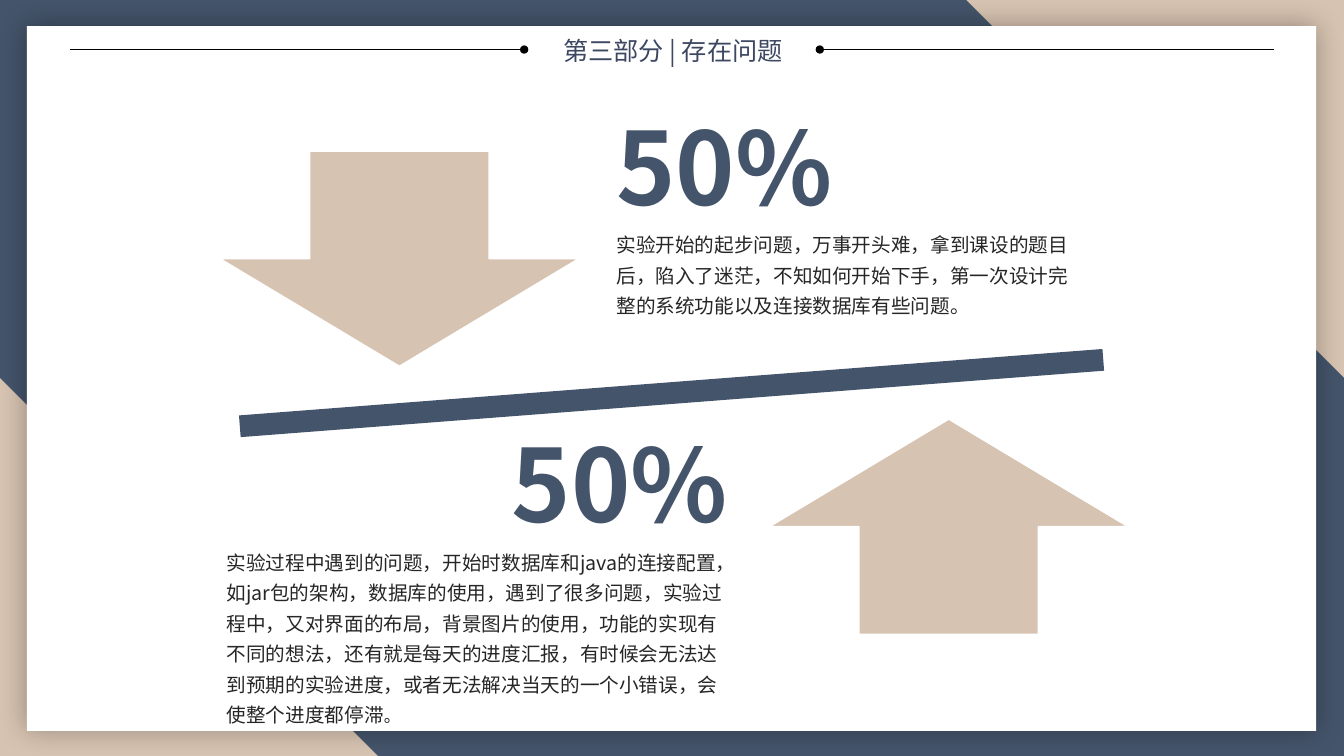
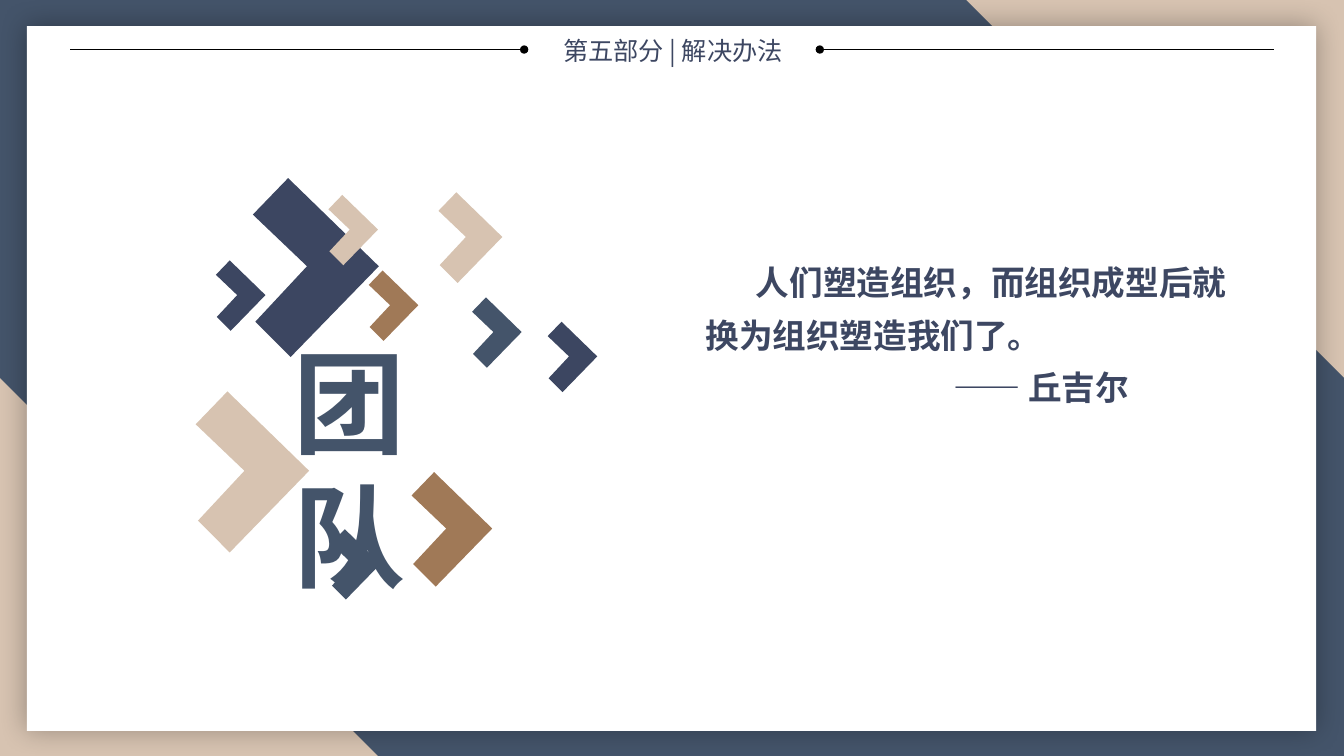
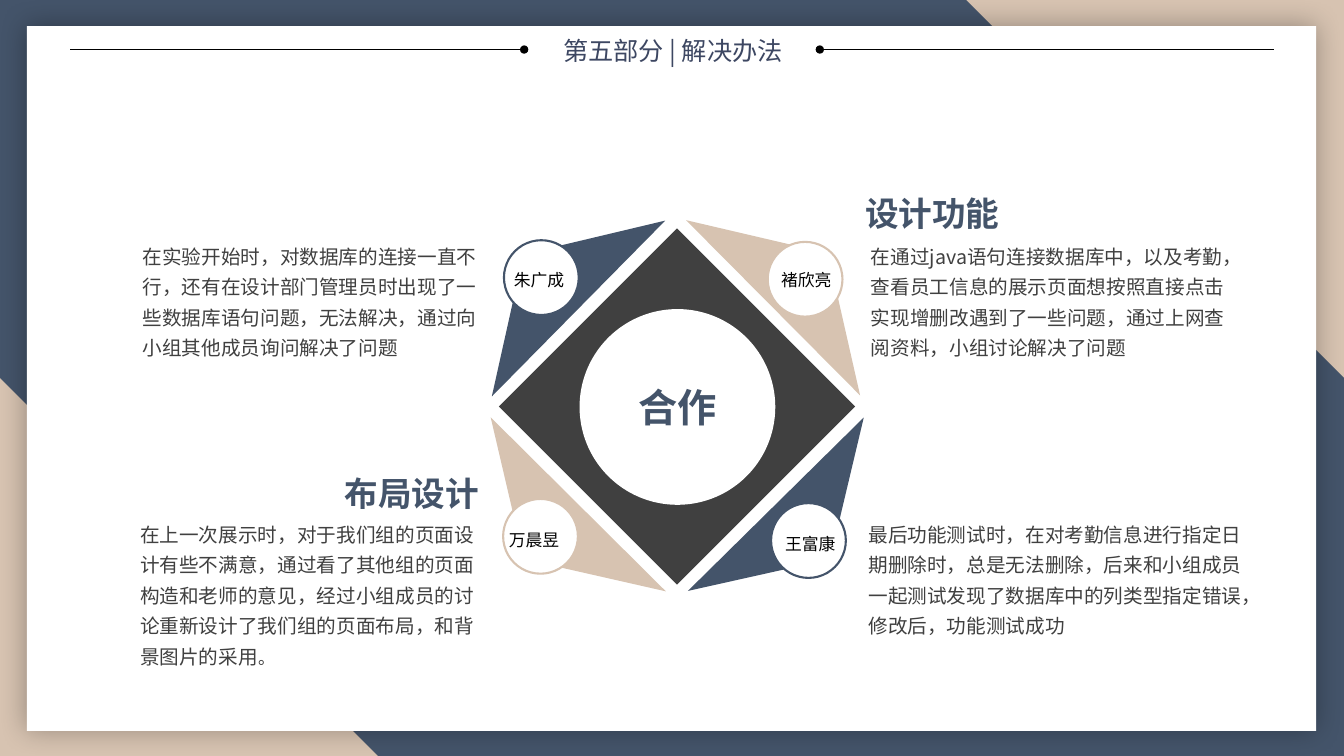
from dataclasses import dataclass

from lxml import etree
from pptx import Presentation
from pptx import util as u
from pptx.dml.color import RGBColor
from pptx.enum import shapes, text
from pptx.oxml.ns import qn

COLUMNS, ROWS = 160, 90
CELL = u.Inches(1 / 12)
SHAPE = shapes.MSO_SHAPE
LEFT, CENTER, RIGHT = text.PP_ALIGN.LEFT, text.PP_ALIGN.CENTER, text.PP_ALIGN.RIGHT
# Corners of a chevron pointing right, as shares of its width
CHEVRON = [(0.3, 1.42), (0.02, 1.14), (0.43, 0.7), (0, 0.29), (0.28, 0), (1, 0.7)]


@dataclass(frozen=True)
class Theme:
    font: str = "Noto Sans CJK SC"
    sand: str = "D7C3B1"
    slate: str = "44546A"
    navy: str = "3C4661"
    ink: str = "3D4762"
    brown: str = "A07957"
    charcoal: str = "404040"
    dark: str = "262626"
    black: str = "000000"
    white: str = "FFFFFF"
    small: int = 12
    body: int = 14
    title: int = 18
    heading: int = 24
    hub: int = 28
    figure: int = 72
    word: int = 80
    leading: float = 1.3


THEME = Theme()


def cells(*numbers):
    return [u.Emu(round(number * CELL)) for number in numbers]


def child(parent, tag, **attributes):
    return etree.SubElement(parent, qn(tag), attributes)


class Deck:
    """Holds the presentation, its style and the page being filled; lengths are grid cells."""

    def __init__(self, theme):
        self.theme = theme
        self.file = Presentation()
        self.file.slide_width, self.file.slide_height = cells(COLUMNS, ROWS)

    def start_page(self, title):
        self.page = self.file.slides.add_slide(self.file.slide_layouts[6])
        backdrop = self.page.background.fill
        backdrop.solid()
        backdrop.fore_color.rgb = RGBColor.from_string(self.theme.sand)

        band = self.shape(SHAPE.SNIP_2_DIAG_RECTANGLE, (0, 0, COLUMNS, ROWS), self.theme.slate)
        band.adjustments[0], band.adjustments[1] = 0, 0.5
        panel = self.shape(SHAPE.RECTANGLE, (3.2, 3.1, 153.5, 83.9), self.theme.white)
        self.glow(panel)
        for inner, outer in ((62.4, 8.3), (COLUMNS - 62.4, COLUMNS - 8.3)):
            self.rule(inner, outer, 5.9)
        box = self.text((64.1, 3.5, 32, 4.9), title, self.theme.title, self.theme.ink,
                        align=CENTER)
        self.center(box)

    def paint(self, shape, fill, line=None, weight=1):
        shape.shadow.inherit = False
        shape.fill.solid()
        shape.fill.fore_color.rgb = RGBColor.from_string(fill)
        if line:
            shape.line.color.rgb = RGBColor.from_string(line)
            shape.line.width = u.Pt(weight)
        else:
            shape.line.fill.background()

    def shape(self, kind, place, fill, line=None, weight=1, turn=0):
        shape = self.page.shapes.add_shape(kind, *cells(*place))
        self.paint(shape, fill, line, weight)
        shape.rotation = turn
        return shape

    def glow(self, shape):
        """Adds a soft shadow on all sides."""
        effects = shape._element.spPr.find(qn("a:effectLst"))
        shadow = child(effects, "a:outerShdw", blurRad=str(u.Pt(20)), dist="0", dir="0",
                       algn="ctr", rotWithShape="0")
        color = child(shadow, "a:srgbClr", val=self.theme.black)
        child(color, "a:alpha", val="30000")

    def rule(self, start, end, row):
        """Draws a level line with a dot at its start."""
        rule = self.page.shapes.add_connector(
            shapes.MSO_CONNECTOR.STRAIGHT, *cells(start, row, end, row))
        rule.line.color.rgb = RGBColor.from_string(self.theme.black)
        rule.line.width = u.Pt(0.5)
        child(rule._element.spPr.find(qn("a:ln")), "a:headEnd", type="oval")
        child(rule._element.spPr, "a:effectLst")

    def chevron(self, left, top, width, fill):
        corners = [cells(left + x * width, top + y * width) for x, y in CHEVRON]
        outline = self.page.shapes.build_freeform(*corners[0])
        outline.add_line_segments(corners[1:], close=True)
        self.paint(outline.convert_to_shape(), fill)

    def format_span(self, span, size, color, bold):
        span.font.name = self.theme.font
        span.font.size = u.Pt(size)
        span.font.bold = bold
        span.font.color.rgb = RGBColor.from_string(color)
        child(span._r.get_or_add_rPr(), "a:ea", typeface=self.theme.font)

    def set_text(self, box, words, size, color, bold=False, align=LEFT, leading=1.0,
                 small_end=""):
        """Fills a shape with text; small_end is added in the small size."""
        box.text_frame.text = words
        for para in box.text_frame.paragraphs:
            para.alignment = align
            para.line_spacing = leading
            for span in para.runs:
                self.format_span(span, size, color, bold)
        if small_end:
            span = para.add_run()
            span.text = small_end
            self.format_span(span, self.theme.small, color, bold)

    def text(self, place, words, size, color, wrap=True, **style):
        box = self.page.shapes.add_textbox(*cells(*place))
        self.set_text(box, words, size, color, **style)
        box.text_frame.word_wrap = wrap
        if not wrap:
            box.text_frame.auto_size = text.MSO_AUTO_SIZE.SHAPE_TO_FIT_TEXT
        return box

    def body(self, place, words, color, small_end=""):
        self.text(place, words, self.theme.body, color, leading=self.theme.leading,
                  small_end=small_end)

    def center(self, box):
        """Removes the insets and puts the text at mid height."""
        frame = box.text_frame
        frame.margin_left = frame.margin_right = frame.margin_top = frame.margin_bottom = 0
        frame.vertical_anchor = text.MSO_ANCHOR.MIDDLE

    def indent(self, para, margin, first):
        margin, first = cells(margin, first)
        para._p.get_or_add_pPr().set("marL", str(margin))
        para._p.get_or_add_pPr().set("indent", str(first))


def build_problems(deck):
    theme = deck.theme
    deck.start_page("第三部分 | 存在问题")
    for kind, left, top in ((SHAPE.DOWN_ARROW, 26.2, 18), (SHAPE.UP_ARROW, 91.6, 49.9)):
        deck.shape(kind, (left, top, 42.7, 25.6), theme.sand, theme.white)
    deck.shape(SHAPE.RECTANGLE, (28.4, 45.5, 103.1, 2.6), theme.slate, turn=-4.4)
    for left, top, align in ((72.2, 11.9, LEFT), (59.5, 49.6, RIGHT)):
        deck.text((left, top, 28.3, 15.7), "50%", theme.figure, theme.slate,
                  wrap=False, bold=True, align=align)
    deck.body((72.2, 26.3, 57.7, 12.2),
              "实验开始的起步问题，万事开头难，拿到课设的题目后，陷入了迷茫，不知如何开始下手，"
              "第一次设计完整的系统功能以及连接数据库有些问题。", theme.dark)
    deck.body((25.8, 64.1, 62.2, 22.9),
              "实验过程中遇到的问题，开始时数据库和java的连接配置，如jar包的架构，数据库的使用，"
              "遇到了很多问题，实验过程中，又对界面的布局，背景图片的使用，功能的实现有不同的想法，"
              "还有就是每天的进度汇报，有时候会无法达到预期的实验进度，"
              "或者无法解决当天的一个小错误，会使整个进度都停滞", theme.dark, small_end="。")


def build_team(deck):
    theme = deck.theme
    deck.start_page("第五部分 | 解决办法")
    for chevron in (
        (52.2, 22.9, 7.6, theme.sand),
        (30.1, 21.2, 15, theme.navy),
        (39.1, 23.2, 5.9, theme.sand),
        (25.7, 31, 5.9, theme.navy),
        (43.9, 32.2, 5.9, theme.brown),
        (56.2, 35.4, 5.9, theme.slate),
        (65.2, 38.3, 5.9, theme.navy),
        (23.3, 46.6, 13.5, theme.sand),
        (49, 56.2, 9.6, theme.brown),
        (39.4, 63, 5.9, theme.slate),
    ):
        deck.chevron(*chevron)
    deck.text((33.8, 39.1, 29, 17.4), "团队", theme.word, theme.slate, wrap=False, bold=True)
    quote = deck.text((81.8, 29.2, 68, 20),
                      "人们塑造组织，而组织成型后就换为组织塑造我们了。\n—— 丘吉尔",
                      theme.heading, theme.ink, bold=True, leading=theme.leading)
    saying, author = quote.text_frame.paragraphs
    deck.indent(saying, 1, 6)
    deck.indent(author, 30.5, 0)


def build_cooperation(deck):
    theme = deck.theme
    deck.start_page("第五部分 | 解决办法")
    deck.shape(SHAPE.DIAMOND, (59.4, 27.2, 42.4, 42.4), theme.charcoal)
    members = (
        # triangle corner, turn, circle corner, name place, name, color
        ((50.9, 28.9), -45.4, (60, 28.6), (60, 30.8, 9), "朱广成", theme.slate),
        ((80.6, 28.8), 45.2, (91.4, 28.8), (91.8, 30.8, 10), "褚欣亮", theme.sand),
        ((50.9, 58.7), 224.8, (59.9, 59.4), (59.4, 61.7, 8.7), "万晨昱", theme.sand),
        ((80.9, 58.7), 135.4, (91.8, 59.9), (92.3, 62.2, 9.4), "王富康", theme.slate),
    )
    for wing, turn, circle, label, name, color in members:
        deck.shape(SHAPE.ISOSCELES_TRIANGLE, (*wing, 29.4, 9.2), color, turn=turn)
        deck.shape(SHAPE.OVAL, (*circle, 8.9, 8.9), theme.white, color, 1.5)
        deck.text((*label, 4.3), name, theme.small, theme.black, leading=theme.leading)

    hub = deck.shape(SHAPE.OVAL, (69, 36.8, 23.3, 23.3), theme.white)
    deck.set_text(hub, "合作", theme.hub, theme.slate, bold=True, align=CENTER)
    deck.center(hub)
    hub.text_frame.word_wrap = False

    for left, top, words, align in ((101.8, 22.9, "设计功能", LEFT),
                                    (23.5, 56.3, "布局设计", RIGHT)):
        deck.text((left, top, 34.7, 5.5), words, theme.heading, theme.slate,
                  bold=True, align=align, leading=0.9)
    for place, words, small_end in (
        ((15.8, 27.7, 42.4, 16),
         "在实验开始时，对数据库的连接一直不行，还有在设计部门管理员时出现了一些数据库语句问题，"
         "无法解决，通过向小组其他成员询问解决了问题", ""),
        ((102.5, 27.7, 45.2, 15.7),
         "在通过java语句连接数据库中，以及考勤，查看员工信息的展示页面想按照直接点击实现"
         "增删改遇到了一些问题，通过上网查阅资料，小组讨论解决了问题", ""),
        ((15.5, 60.8, 42.4, 14.6),
         "在上一次展示时，对于我们组的页面设计有些不满意，通过看了其他组的页面构造和老师的意见，"
         "经过小组成员的讨论重新设计了我们组的页面布局，和背景图片的采用", "。"),
        ((102.2, 60.8, 46.9, 15.7),
         "最后功能测试时，在对考勤信息进行指定日期删除时，总是无法删除，"
         "后来和小组成员一起测试发现了数据库中的列类型指定错误，修改后，功能测试成功", ""),
    ):
        deck.body(place, words, theme.charcoal, small_end)


def main():
    deck = Deck(THEME)
    build_problems(deck)
    build_team(deck)
    build_cooperation(deck)
    deck.file.save("out.pptx")


if __name__ == "__main__":
    main()
